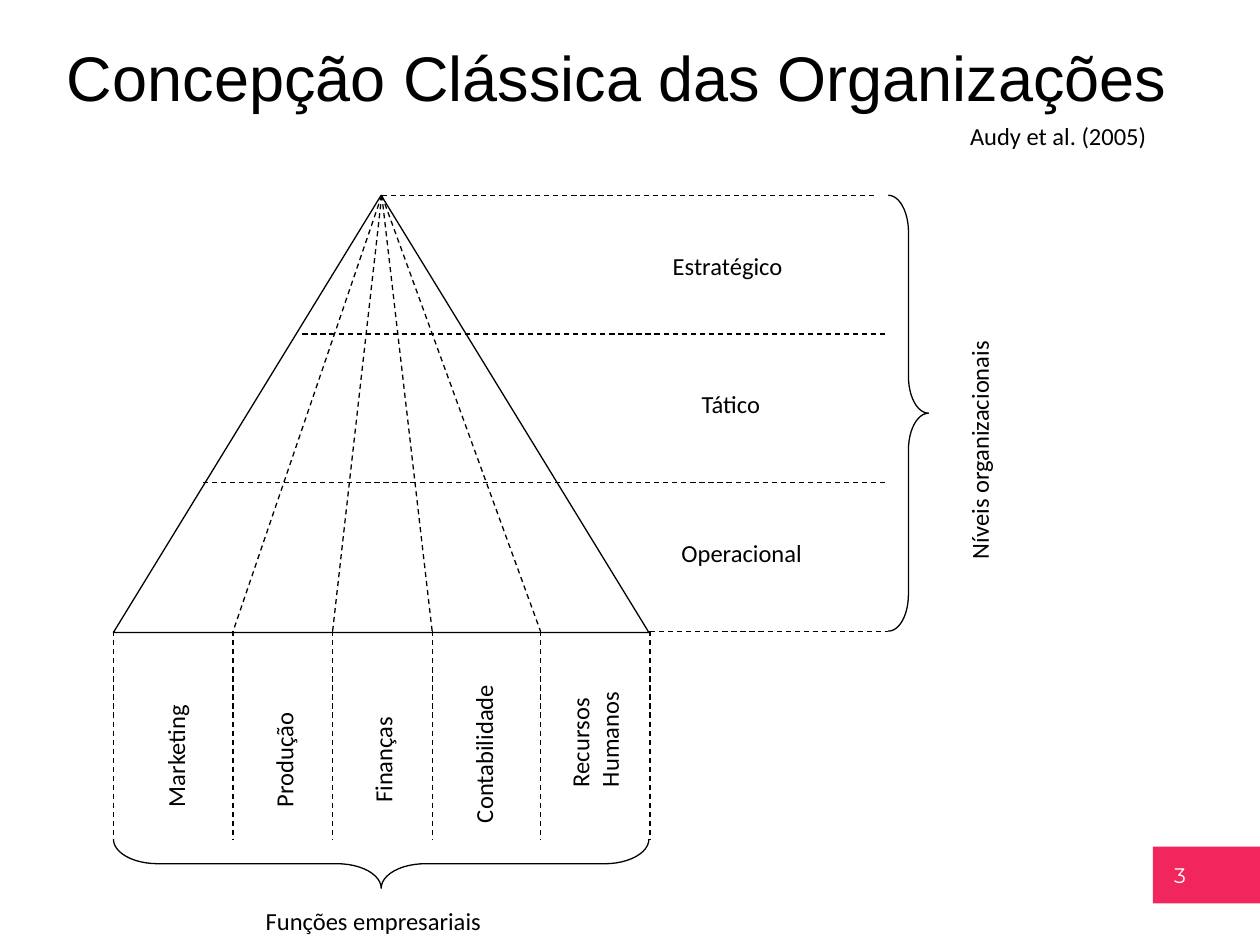
"""Build a slide on the classical view of organizations."""
from lxml import etree
from pptx import Presentation
from pptx.dml.color import RGBColor
from pptx.enum.dml import MSO_LINE
from pptx.enum.shapes import MSO_CONNECTOR, MSO_SHAPE
from pptx.enum.text import MSO_ANCHOR, MSO_AUTO_SIZE, PP_ALIGN
from pptx.oxml.ns import qn
from pptx.util import Inches, Pt

STRAIGHT = MSO_CONNECTOR.STRAIGHT
DASH = MSO_LINE.DASH
TRIANGLE = MSO_SHAPE.ISOSCELES_TRIANGLE
BRACE = MSO_SHAPE.RIGHT_BRACE
RECTANGLE = MSO_SHAPE.RECTANGLE
MIDDLE = MSO_ANCHOR.MIDDLE
CENTER = PP_ALIGN.CENTER
NO_FIT = MSO_AUTO_SIZE.NONE


def color(value):
    """Turn a hex string into a colour."""
    return RGBColor.from_string(value)


def style_text(frame, text, font, size, ink):
    """Write text in a frame and format its runs."""
    frame.text = text
    for para in frame.paragraphs:
        for span in para.runs:
            span.font.name = font
            span.font.size = Pt(size)
            span.font.color.rgb = color(ink)


BLACK, WHITE, PINK = "000000", "FFFFFF", "F0265D"
APEX_X, APEX_Y = 3.03, 1.55
BASE_Y, COLUMN_END = 5.01, 6.66
LEVEL_END = 7.05
COLUMNS = [0.9, 1.85, 2.64, 3.43, 4.29, 5.16]

deck = Presentation()
deck.slide_width = Inches(10)
deck.slide_height = Inches(7.5)
page = deck.slides.add_slide(deck.slide_layouts[5])
page.background.fill.solid()
page.background.fill.fore_color.rgb = color(WHITE)

title = page.shapes.title
title.left, title.top = Inches(0.27), Inches(0.21)
title.width, title.height = Inches(9.25), Inches(0.79)
style_text(title.text_frame, "Concepção Clássica das Organizações", "Arial", 36, BLACK)
title.text_frame.auto_size = NO_FIT
title.text_frame.vertical_anchor = MIDDLE
title.text_frame.paragraphs[0].alignment = CENTER

outlines = [
    (TRIANGLE, 0.9, APEX_Y, 4.25, 3.47, 0, [0.5]),
    (BRACE, LEVEL_END, APEX_Y, 0.32, 3.46, 0, [0.913, 0.5]),
    (BRACE, 2.83, 4.73, 0.39, 4.25, 90, [0.899, 0.5]),
]
for kind, left, top, width, height, turn, adjustments in outlines:
    outline = page.shapes.add_shape(
        kind, Inches(left), Inches(top), Inches(width), Inches(height)
    )
    for index, adjustment in enumerate(adjustments):
        outline.adjustments[index] = adjustment
    outline.rotation = turn
    outline.shadow.inherit = False
    outline.fill.background()
    outline.line.color.rgb = color(BLACK)
    outline.line.width = Pt(0.75)

dashes = [(APEX_X, APEX_Y, x, BASE_Y) for x in COLUMNS[1:-1]]
dashes += [(x, BASE_Y, x, COLUMN_END) for x in COLUMNS]
dashes += [
    (APEX_X, APEX_Y, 6.97, APEX_Y),
    (2.4, 2.65, LEVEL_END, 2.65),
    (1.61, 3.83, LEVEL_END, 3.83),
    (COLUMNS[-1], BASE_Y, LEVEL_END, BASE_Y),
]
for points in dashes:
    dashed = page.shapes.add_connector(STRAIGHT, *[Inches(point) for point in points])
    dashed.line.color.rgb = color(BLACK)
    dashed.line.width = Pt(0.75)
    dashed.line.dash_style = DASH
    etree.SubElement(dashed._element.spPr, qn("a:effectLst"))

badge = page.shapes.add_shape(
    RECTANGLE, Inches(9.15), Inches(6.72), Inches(0.86), Inches(0.45)
)
badge.shadow.inherit = False
badge.fill.solid()
badge.fill.fore_color.rgb = color(PINK)
badge.line.fill.background()

labels = [
    ("Funções empresariais", 2.01, 7.14, 2.12, 0.33, 0),
    ("Níveis organizacionais", 6.47, 3.07, 2.6, 0.33, 270),
    ("Audy et al. (2005)", 7.6, 0.91, 1.81, 0.33, 0),
    ("Marketing", 0.76, 5.71, 1.26, 0.33, 270),
    ("Produção", 1.66, 5.75, 1.18, 0.33, 270),
    ("Finanças", 2.5, 5.77, 1.07, 0.33, 270),
    ("Contabilidade", 3.1, 5.73, 1.47, 0.33, 270),
    ("Recursos Humanos", 4.17, 5.51, 1.1, 0.57, 270),
    ("Estratégico", 5.24, 1.94, 1.18, 0.33, 0),
    ("Tático", 5.47, 3.04, 0.87, 0.33, 0),
    ("Operacional", 5.31, 4.22, 1.34, 0.33, 0),
]
for text, left, top, width, height, turn in labels:
    box = page.shapes.add_textbox(
        Inches(left), Inches(top), Inches(width), Inches(height)
    )
    box.rotation = turn
    box.text_frame.word_wrap = True
    style_text(box.text_frame, text, "Calibri", 14, BLACK)

number = page.shapes.add_textbox(Inches(9.22), Inches(6.8), Inches(0.29), Inches(0.3))
number.text_frame.word_wrap = False
style_text(number.text_frame, "3", "Montserrat", 12, WHITE)

deck.save("out.pptx")
